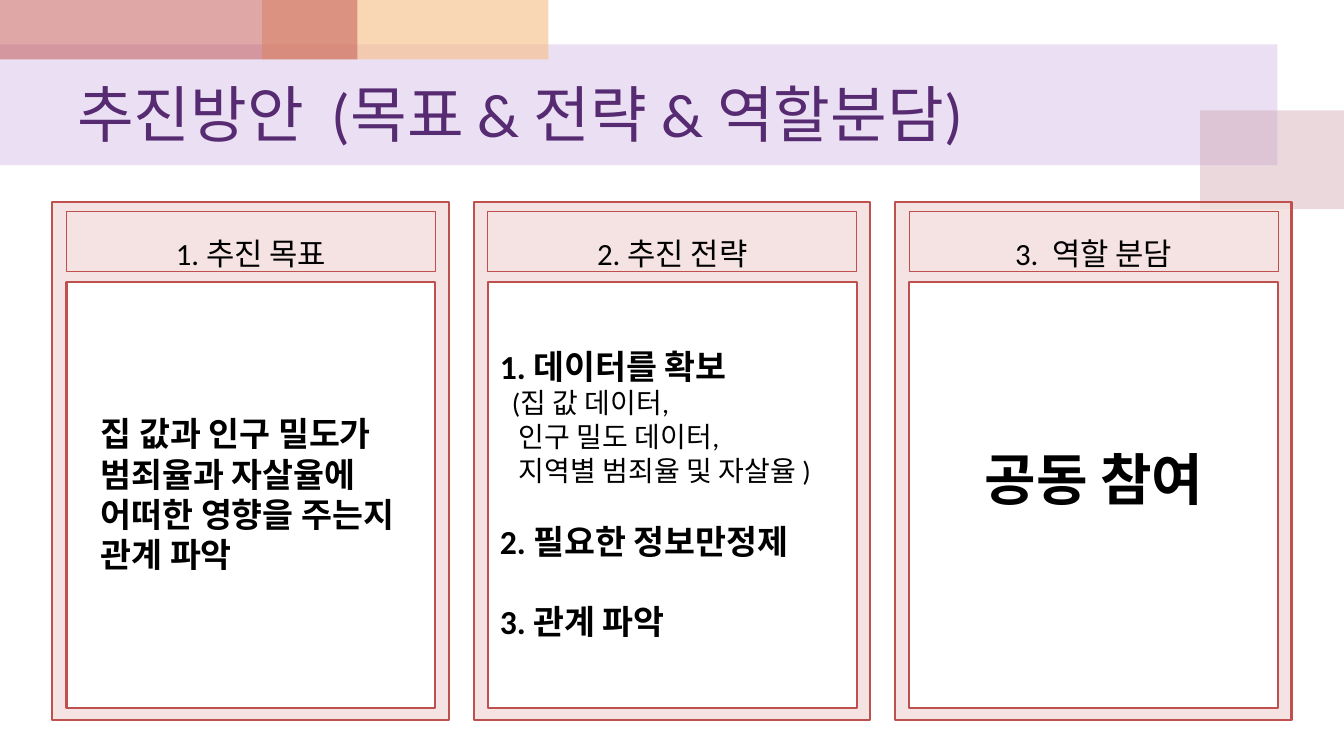
from lxml.etree import SubElement
from pptx import Presentation
from pptx.dml.color import RGBColor
from pptx.enum.shapes import MSO_SHAPE as Shape
from pptx.enum.text import MSO_ANCHOR as Anchor, MSO_AUTO_SIZE as Fit, PP_ALIGN as Align
from pptx.oxml.ns import qn
from pptx.util import Inches, Pt

WIDE, HIGH = Inches(13.33), Inches(7.5)
COL, ROW = WIDE / 100, HIGH / 100
FONT = "Calibri"

BLACK = RGBColor(0x00, 0x00, 0x00)
WHITE = RGBColor(0xFF, 0xFF, 0xFF)
PLUM = RGBColor(0x56, 0x2B, 0x71)
LILAC = RGBColor(0xBF, 0x98, 0xD8)
MAUVE = RGBColor(0xCC, 0x9E, 0xAC)
PEACH = RGBColor(0xF5, 0xBC, 0x83)
RED = RGBColor(0xC0, 0x50, 0x4D)
BLUSH = RGBColor(0xF2, 0xDC, 0xDB)

BARS = [
    ((0, 5.87, 95.05, 16), LILAC, 30),
    ((89.3, 14.6, 10.7, 13.07), MAUVE, 40),
    ((19.5, 0, 21.3, 7.87), PEACH, 60),
    ((0, 0, 26.6, 7.87), RED, 50),
]

# Each line: text, size, bold, indent in inches, space before in points
GOAL = [(text, 24, True, 0, 0) for text in (
    "집 값과 인구 밀도가", "범죄율과 자살율에", "어떠한 영향을 주는지", "관계 파악")]
PLAN = [
    ("1. 데이터를 확보", 24, True, 0, 0),
    ("(집 값 데이터,", 20, False, 0.12, 0),
    ("인구 밀도 데이터,", 20, False, 0.19, 0),
    ("지역별 범죄율 및 자살율 )", 20, False, 0.19, 0),
    ("2. 필요한 정보만정제", 24, True, 0, 24),
    ("3. 관계 파악", 24, True, 0, 29),
]
ROLE = [("공동 참여", 40, True, 0, 0)]

CARDS = [
    ("1. 추진 목표", GOAL, (1.8, 16.67, 27.5, 22.93), Align.LEFT),
    ("2. 추진 전략", PLAN, (0.15, 7.73, 27.4, 40.8), Align.LEFT),
    ("3.  역할 분담", ROLE, (3.37, 20.8, 20.78, 10.27), Align.CENTER),
]


def scale(box):
    """Turn a box in columns and rows into slide lengths."""
    x, y, w, h = box
    return int(x * COL), int(y * ROW), int(w * COL), int(h * ROW)


def inset(box, part):
    """Move a part so that it is measured from the corner of a box."""
    return box[0] + part[0], box[1] + part[1], part[2], part[3]


def style(para, size, color, bold=False):
    """Format the runs of a paragraph."""
    for run in para.runs:
        run.font.name = FONT
        run.font.size = Pt(size)
        run.font.bold = bold
        run.font.color.rgb = color


def panel(slide, box, fill=None, alpha=100, edge=0):
    """Add a rectangle with an optional fill and outline."""
    rect = slide.shapes.add_shape(Shape.RECTANGLE, *scale(box))
    rect.shadow.inherit = False
    if fill is None:
        rect.fill.background()
    else:
        rect.fill.solid()
        rect.fill.fore_color.rgb = fill
        if alpha < 100:
            tint = rect.fill._xPr.find(qn("a:solidFill"))[0]
            SubElement(tint, qn("a:alpha"), val=str(alpha * 1000))
    if edge:
        rect.line.color.rgb = RED
        rect.line.width = Pt(edge)
    else:
        rect.line.fill.background()
    return rect


def banner(slide, box, text):
    """Place the coloured bars and the title over them."""
    for bar, color, alpha in BARS:
        panel(slide, bar, color, alpha)
    title = slide.shapes.title
    slide.shapes._spTree.append(title._element)
    title.left, title.top, title.width, title.height = scale(box)
    frame = title.text_frame
    frame.text = text
    frame.vertical_anchor = Anchor.MIDDLE
    para = frame.paragraphs[0]
    para.alignment = Align.LEFT
    style(para, 44, PLUM)


def write(slide, box, lines, align):
    """Place a text box of formatted lines."""
    frame = slide.shapes.add_textbox(*scale(box)).text_frame
    frame.word_wrap = True
    frame.auto_size = Fit.SHAPE_TO_FIT_TEXT
    frame.text = "\n".join(line[0] for line in lines)
    for para, (_, size, bold, indent, gap) in zip(frame.paragraphs, lines):
        para.alignment = align
        para.space_before = Pt(gap)
        if indent:
            para._p.get_or_add_pPr().set("marL", str(Inches(indent)))
        style(para, size, BLACK, bold)


def card(slide, box, head, lines, area, align):
    """Place one framed card with its heading and text."""
    panel(slide, box, BLUSH, 79, 1.5)
    body = inset(box, (1.05, 10.67, 27.45, 56.27))
    panel(slide, body, WHITE, edge=1.5)
    label = panel(slide, inset(box, (1.05, 1.33, 27.45, 7.87)), edge=0.75)
    frame = label.text_frame
    frame.text = head
    frame.vertical_anchor = Anchor.TOP
    frame.auto_size = Fit.SHAPE_TO_FIT_TEXT
    para = frame.paragraphs[0]
    para.alignment = Align.CENTER
    para.line_spacing = 1.5
    style(para, 22, BLACK)
    write(slide, inset(body, area), lines, align)


def main():
    """Build the slide and save it."""
    deck = Presentation()
    deck.slide_width, deck.slide_height = WIDE, HIGH
    slide = deck.slides.add_slide(deck.slide_layouts[5])
    banner(slide, (5, 7.87, 90, 14), "추진방안  (목표 & 전략 & 역할분담)")
    for i, parts in enumerate(CARDS):
        card(slide, (3.9 + 31.35 * i, 26.67, 29.5, 68.53), *parts)
    deck.save("out.pptx")


if __name__ == "__main__":
    main()
